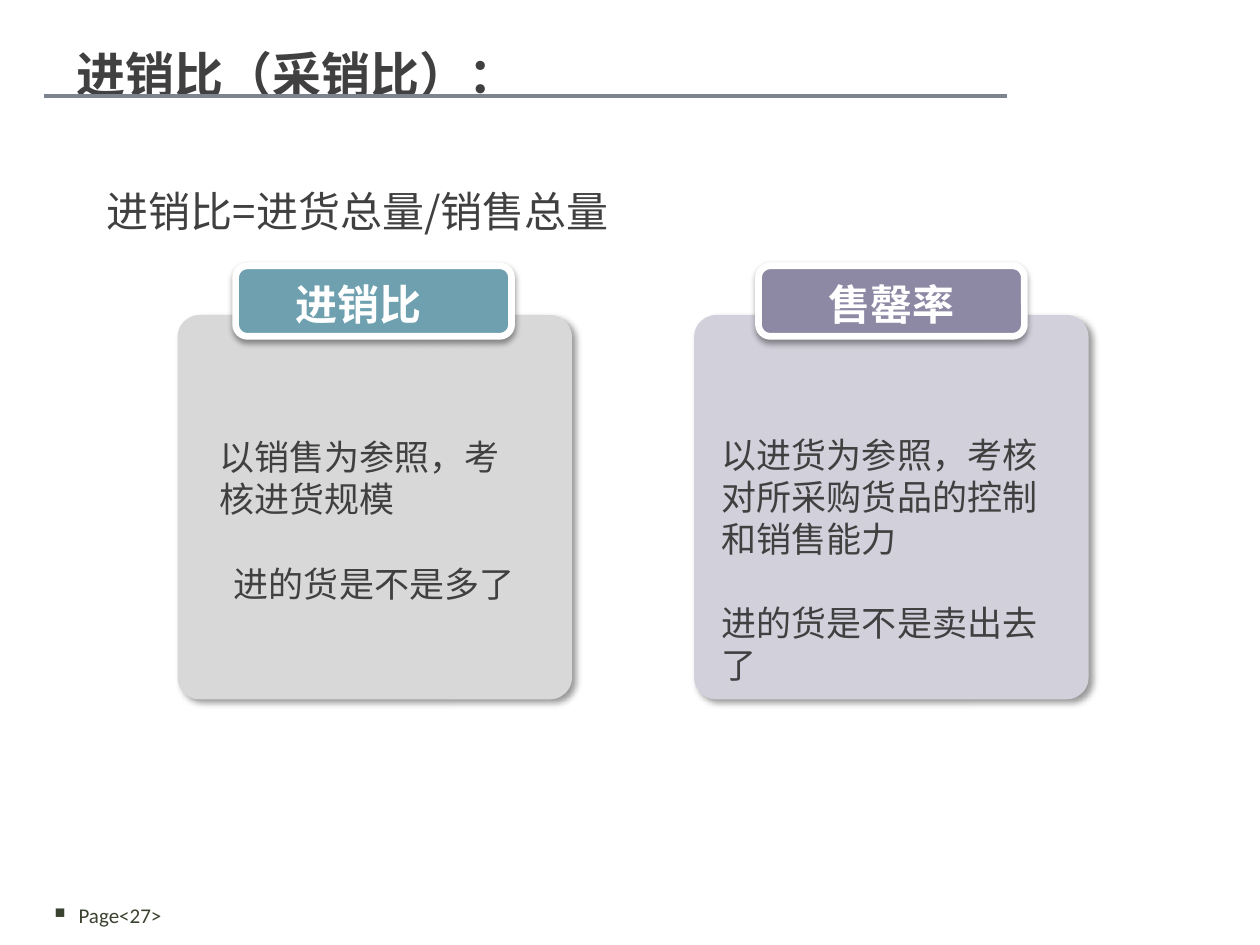
from lxml import etree
from pptx import Presentation
from pptx import util as u
from pptx.dml.color import RGBColor
from pptx.enum import shapes, text
from pptx.oxml import parse_xml
from pptx.oxml.ns import qn, nsdecls

HAN, LATIN = "Noto Sans CJK SC", "Calibri"
HUES = {"ink": "404040", "rule": "7E848D", "page": "3A4230", "white": "FFFFFF",
        "grey": "D8D8D8", "teal": "6EA0B0", "lilac": "D1D0DB", "plum": "8D89A4"}
LEFT, MID = text.PP_ALIGN.LEFT, text.PP_ALIGN.CENTER
TOP, CORE = text.MSO_ANCHOR.TOP, text.MSO_ANCHOR.MIDDLE

# Content
TITLE = "进销比（采销比）："
RATIO = "进销比=进货总量/销售总量"
PAGE = "Page<27>"
CARDS = [
    {"left": 1.41, "fill": "grey", "head": "进销比", "hue": "teal",
     "tab": (1.87, 2.19), "shift": 0.24, "body": (1.64, 3.38, 2.66, 1.45),
     "lines": [("以销售为参照，考核进货规模", LEFT), ("进的货是不是多了", MID)]},
    {"left": 5.51, "fill": "lilac", "head": "售罄率", "hue": "plum",
     "tab": (6.02, 2.11), "shift": 0, "body": (5.63, 3.36, 2.81, 2.12),
     "lines": [("以进货为参照，考核对所采购货品的控制和销售能力", LEFT),
               ("进的货是不是卖出去了", LEFT)]},
]


def tint(hue):
    return RGBColor.from_string(HUES[hue])


def place(shape, box):
    shape.left, shape.top, shape.width, shape.height = map(u.Inches, box)


def write(shape, lines, size=20, hue="ink", bold=False, font=HAN,
          anchor=TOP, gap=0, shift=0):
    """Fill a shape with (words, alignment) paragraphs."""
    frame = shape.text_frame
    frame.word_wrap = True
    frame.auto_size = text.MSO_AUTO_SIZE.NONE
    frame.vertical_anchor = anchor
    frame.margin_left = u.Inches(0.1)
    frame.margin_right = u.Inches(0.1 + shift)
    frame.margin_top = u.Inches(0.05 + size * 0.0015)
    frame.margin_bottom = u.Inches(0.05)
    for i, (words, align) in enumerate(lines):
        para = frame.add_paragraph() if i else frame.paragraphs[0]
        para.alignment = align
        para.line_spacing = u.Pt(size * 1.2)
        para.space_before = u.Pt(gap if i else 0)
        run = para.add_run()
        run.text = words
        run.font.size, run.font.bold, run.font.name = u.Pt(size), bold, font
        run.font.color.rgb = tint(hue)
        east = etree.SubElement(run.font._element, qn("a:ea"))
        east.set("typeface", font)


def shade(shape, alpha, blur, dist, angle):
    shape._element.spPr.append(parse_xml(
        f'<a:effectLst {nsdecls("a")}><a:outerShdw blurRad="{u.Pt(blur)}" '
        f'dist="{u.Pt(dist)}" dir="{angle * 60000}" algn="ctr" rotWithShape="0">'
        f'<a:srgbClr val="000000"><a:alpha val="{alpha * 1000}"/></a:srgbClr>'
        '</a:outerShdw></a:effectLst>'))


def panel(slide, box, fill):
    shape = slide.shapes.add_shape(shapes.MSO_SHAPE.ROUNDED_RECTANGLE,
                                   *map(u.Inches, box))
    shape.fill.solid()
    shape.fill.fore_color.rgb = tint(fill)
    shape.line.fill.background()
    return shape


def label(slide, box):
    return slide.shapes.add_textbox(*map(u.Inches, box))


def card(slide, item):
    back = panel(slide, (item["left"], 2.5, 3.13, 3.05), item["fill"])
    back.adjustments[0] = 0.057
    shade(back, 40, 4, 3, 45)
    left, width = item["tab"]
    tab = panel(slide, (left, 2.11, width, 0.56), item["hue"])
    tab.line.color.rgb = tint("white")
    tab.line.width = u.Pt(3.82)
    shade(tab, 38, 3.5, 2, 90)
    write(tab, [(item["head"], MID)], size=24, hue="white", bold=True,
          anchor=CORE, shift=item["shift"])
    write(label(slide, item["body"]), item["lines"], gap=24)


def main():
    deck = Presentation()
    deck.slide_width, deck.slide_height = u.Inches(10), u.Inches(7.5)
    slide = deck.slides.add_slide(deck.slide_layouts[5])

    # Title and its rule
    rule = slide.shapes.add_connector(
        shapes.MSO_CONNECTOR.STRAIGHT, *map(u.Inches, (0.35, 0.76, 7.99, 0.76)))
    rule.line.color.rgb = tint("rule")
    rule.line.width = u.Pt(2)
    etree.SubElement(rule._element.spPr, qn("a:effectLst"))
    title = slide.shapes.title
    place(title, (0.51, 0.26, 4.33, 0.57))
    write(title, [(TITLE, LEFT)], size=28, bold=True)

    # Formula and the two cards
    write(label(slide, (0.75, 1.39, 4.96, 0.5)), [(RATIO, LEFT)], size=24)
    for item in CARDS:
        card(slide, item)

    # Page mark with square bullet
    foot = label(slide, (0.2, 7.05, 1.18, 0.4))
    props = foot.text_frame.paragraphs[0]._p.get_or_add_pPr()
    props.set("marL", str(u.Inches(0.19)))
    props.set("indent", str(u.Inches(-0.19)))
    etree.SubElement(props, qn("a:buSzPct")).set("val", "70000")
    etree.SubElement(props, qn("a:buChar")).set("char", "■")
    write(foot, [(PAGE, text.PP_ALIGN.RIGHT)], size=12, hue="page", font=LATIN,
          anchor=CORE)

    deck.save("out.pptx")


if __name__ == "__main__":
    main()
